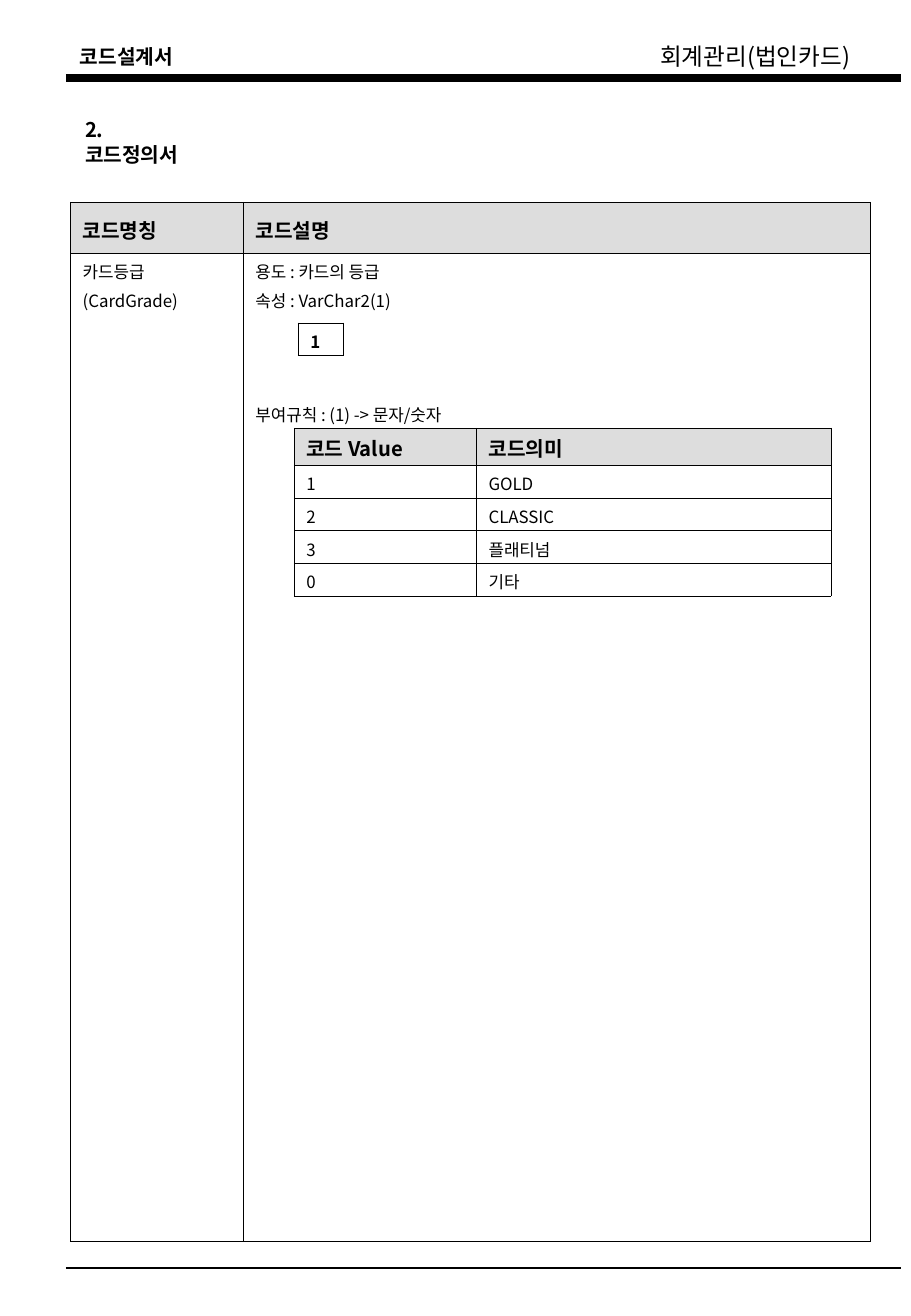
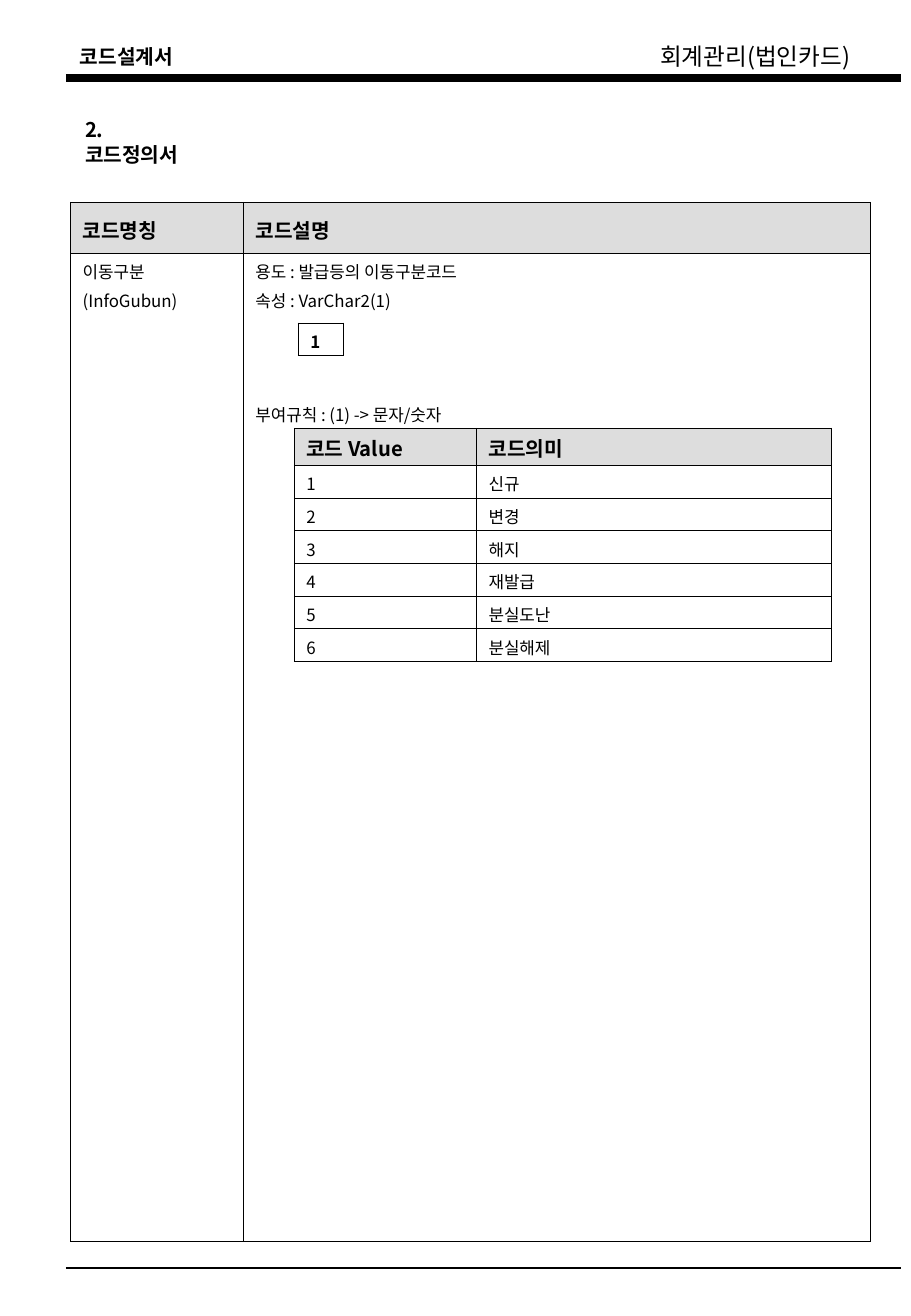
from lxml.etree import SubElement
from pptx import Presentation
from pptx.dml.color import RGBColor
from pptx.enum.shapes import MSO_CONNECTOR as Connector
from pptx.enum.text import MSO_ANCHOR as Anchor, MSO_AUTO_SIZE as AutoSize, PP_ALIGN as Align
from pptx.oxml.ns import qn
from pptx.util import Pt

FONT = "Noto Sans CJK KR"
BLACK, GRAY = "000000", "DDDDDD"
HEAD_SIZE, BODY_SIZE, SUBJECT_SIZE = 12, 10, 14
LINE_RATIO = 1.22
BODY_GAP, RULE_GAP = 4.8, 55.4  # space between body lines, and before the rule line
LEFT, RIGHT = 39, 534.3
TITLE_ONLY = 5


def color(value):
    return RGBColor.from_string(value)


class CodeDocument:
    """Holds the style and the current slide."""

    def __init__(self, width, height):
        self.deck = Presentation()
        self.deck.slide_width, self.deck.slide_height = Pt(width), Pt(height)
        self.slide = None

    def format_text(self, para, size, bold=False, space_before=0):
        para.alignment = Align.LEFT
        para.line_spacing = Pt(round(size * LINE_RATIO, 1))
        para.space_before = Pt(space_before)
        for span in para.runs:
            span.font.name = FONT
            span.font.size = Pt(size)
            span.font.bold = bold
            span.font.color.rgb = color(BLACK)
            SubElement(span.font._element, qn("a:ea"), typeface=FONT)

    def fill_box(self, box, text, size, bold, wrap=False, right_inset=7.2):
        frame = box.text_frame
        frame.text = text
        frame.word_wrap = wrap
        frame.auto_size = AutoSize.NONE
        frame.vertical_anchor = Anchor.TOP
        frame.margin_left, frame.margin_right = Pt(7.2), Pt(right_inset)
        frame.margin_top = frame.margin_bottom = Pt(3.2)
        self.format_text(frame.paragraphs[0], size, bold)

    def text(self, left, top, width, height, text, size, bold=False):
        box = self.slide.shapes.add_textbox(Pt(left), Pt(top), Pt(width), Pt(height))
        self.fill_box(box, text, size, bold)

    def title(self, text):
        box = self.slide.shapes.title
        box.left, box.top, box.width, box.height = Pt(43.2), Pt(66.2), Pt(85.7), Pt(21.6)
        # The wide right inset sets the number on a line of its own
        self.fill_box(box, text, HEAD_SIZE, True, wrap=True, right_inset=14)

    def rule(self, y, weight):
        line = self.slide.shapes.add_connector(
            Connector.STRAIGHT, Pt(LEFT), Pt(y), Pt(RIGHT), Pt(y))
        line.line.color.rgb = color(BLACK)
        line.line.width = Pt(weight)
        SubElement(line._element.spPr, qn("a:effectLst"))

    def page(self, title):
        """Starts a slide with the shared header and footer."""
        self.slide = self.deck.slides.add_slide(self.deck.slide_layouts[TITLE_ONLY])
        self.text(40.3, 23, 69.1, 21.6, "코드설계서", HEAD_SIZE, bold=True)
        self.text(384.2, 21.6, 141.8, 24.5, "회계관리(법인카드)", SUBJECT_SIZE)
        self.rule(46.1, 4.5)
        self.rule(751.9, 1)
        self.title(title)

    def borders(self, cell, weights):
        properties = cell._tc.get_or_add_tcPr()
        for side, weight in zip("LRTB", weights):
            line = SubElement(properties, qn(f"a:ln{side}"), w=str(Pt(weight)))
            fill = SubElement(line, qn("a:solidFill"))
            SubElement(fill, qn("a:srgbClr"), val=BLACK)

    def cell(self, cell, text, gaps=(), header=False, bold=False, middle=False):
        cell.text_frame.text = text
        cell.margin_left = cell.margin_right = Pt(7.2)
        cell.margin_top, cell.margin_bottom = Pt(5.8), Pt(1.4)
        cell.vertical_anchor = Anchor.MIDDLE if header or middle else Anchor.TOP
        if header:
            cell.fill.solid()
            cell.fill.fore_color.rgb = color(GRAY)
        else:
            cell.fill.background()
        for number, para in enumerate(cell.text_frame.paragraphs):
            gap = gaps[number - 1] if number else 0
            self.format_text(para, HEAD_SIZE if header else BODY_SIZE, header or bold, gap)

    def table(self, left, top, columns, heights, rows, edge=0.45, inner=0.45,
              gaps=(), header=True, **style):
        grid = self.slide.shapes.add_table(
            len(heights), len(columns), Pt(left), Pt(top),
            Pt(sum(columns)), Pt(sum(heights))).table
        grid.first_row = grid.horz_banding = False
        for column, width in zip(grid.columns, columns):
            column.width = Pt(width)
        last_row, last_column = len(heights) - 1, len(columns) - 1
        for r, (height, texts) in enumerate(zip(heights, rows)):
            grid.rows[r].height = Pt(height)
            for c, text in enumerate(texts):
                cell = grid.cell(r, c)
                outside = (c == 0, c == last_column, r == 0, r == last_row)
                self.borders(cell, [edge if out else inner for out in outside])
                self.cell(cell, text, gaps, header and r == 0, **style)

    def code_page(self, name, field, purpose, codes):
        self.page("2. 코드정의서")
        # Definition frame
        description = f"용도 : {purpose}\n속성 : VarChar2(1)\n부여규칙 : (1) -> 문자/숫자"
        self.table(41.8, 120.1, [102.4, 372], [30.2, 585.8],
                   [("코드명칭", "코드설명"), (f"{name}\n({field})", description)],
                   edge=0.75, gaps=(BODY_GAP, RULE_GAP))
        # Code values
        self.table(174.4, 254, [108, 210.2], [21.9] + [19.4] * len(codes),
                   [("코드 Value", "코드의미"), *codes], inner=0.34)
        # Length of the code
        self.table(176.8, 191.5, [27], [19.4], [("1",)],
                   header=False, bold=True, middle=True)


def main():
    document = CodeDocument(540, 780.48)
    document.code_page(
        "카드등급", "CardGrade", "카드의 등급",
        [("1", "GOLD"), ("2", "CLASSIC"), ("3", "플래티넘"), ("0", "기타")])
    document.code_page(
        "이동구분", "InfoGubun", "발급등의 이동구분코드",
        [("1", "신규"), ("2", "변경"), ("3", "해지"),
         ("4", "재발급"), ("5", "분실도난"), ("6", "분실해제")])
    document.deck.save("out.pptx")


if __name__ == "__main__":
    main()
